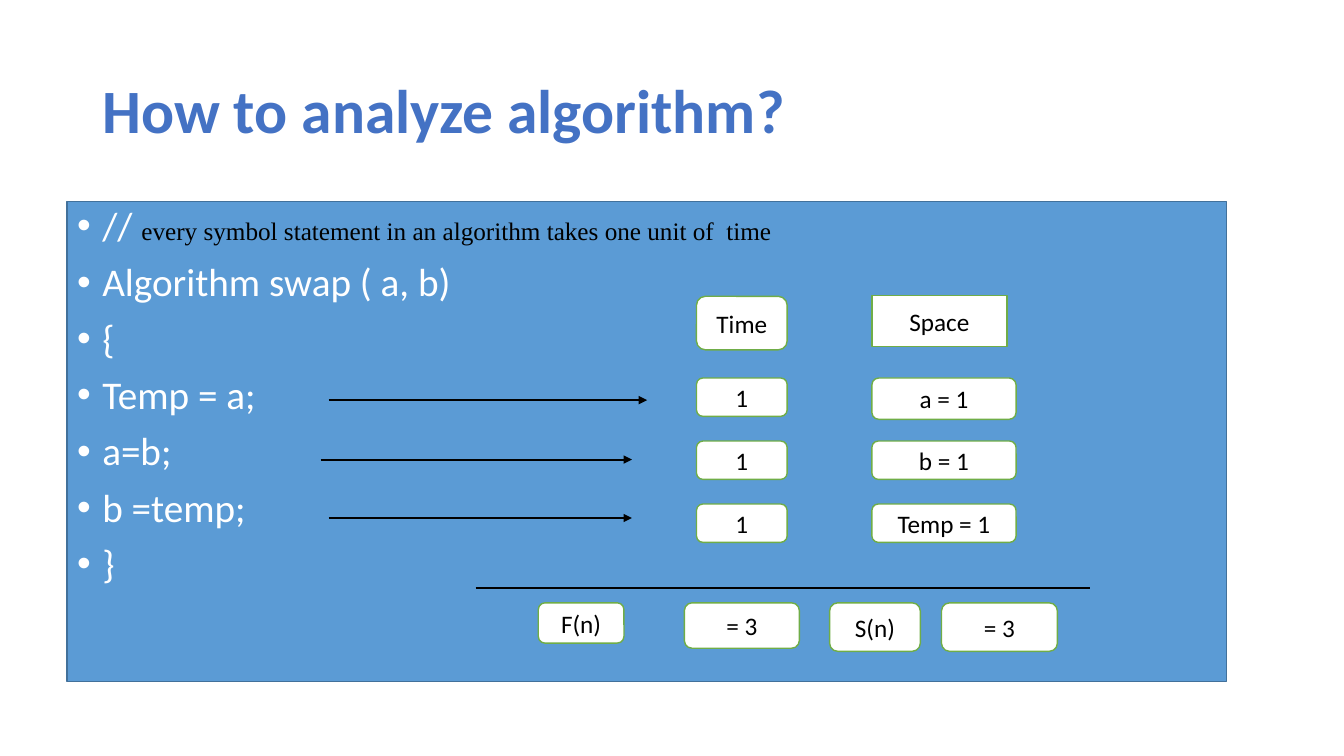
from lxml.etree import SubElement
from pptx import Presentation
from pptx.dml.color import RGBColor
from pptx.enum.shapes import MSO_CONNECTOR, MSO_SHAPE
from pptx.enum.text import MSO_ANCHOR, PP_ALIGN
from pptx.oxml.ns import qn
from pptx.util import Pt

COLORS = {"title": "4472C4", "panel": "5B9BD5", "panel_line": "42719B",
          "box_line": "70AD47", "white": "FFFFFF", "black": "000000"}
RGB = {name: RGBColor.from_string(value) for name, value in COLORS.items()}
ROUND, RECT = MSO_SHAPE.ROUNDED_RECTANGLE, MSO_SHAPE.RECTANGLE


def add_panel(kind, box, fill, line):
    sp = s.shapes.add_shape(kind, *map(Pt, box))
    sp.shadow.inherit = False
    sp.fill.solid()
    sp.fill.fore_color.rgb = RGB[fill]
    sp.line.color.rgb = RGB[line]
    sp.line.width = Pt(1)
    sp.text_frame.word_wrap = True
    return sp


def add_run(p, text, color, size, name="Calibri", bold=False):
    r = p.add_run()
    r.text = text
    for key, value in {"size": Pt(size), "name": name, "bold": bold}.items():
        setattr(r.font, key, value)
    r.font.color.rgb = RGB[color]


prs = Presentation()
prs.slide_width, prs.slide_height = Pt(960), Pt(540)
s = prs.slides.add_slide(prs.slide_layouts[6])

# Title
tf = s.shapes.add_textbox(Pt(66), Pt(28.8), Pt(828), Pt(104.4)).text_frame
tf.word_wrap = True
tf.vertical_anchor = MSO_ANCHOR.MIDDLE
tf.paragraphs[0].line_spacing = 0.9
add_run(tf.paragraphs[0], "How to analyze algorithm?", "title", 44, bold=True)

# Algorithm listing
tf = add_panel(RECT, (48, 144, 828, 342.7), "panel", "panel_line").text_frame
tf.vertical_anchor = MSO_ANCHOR.TOP
code = ["// ", "Algorithm swap ( a, b)", "{", "Temp = a;", "a=b;", "b =temp;", "}"]
for i, text in enumerate(code):
    p = tf.add_paragraph() if i else tf.paragraphs[0]
    formats = {"alignment": PP_ALIGN.LEFT, "line_spacing": 0.9,
               "space_before": Pt(10 if i else 0)}
    for key, value in formats.items():
        setattr(p, key, value)
    pPr = p._p.get_or_add_pPr()
    pPr.set("marL", str(Pt(18)))
    pPr.set("indent", str(-Pt(18)))
    SubElement(pPr, qn("a:buFont"), typeface="Arial")
    SubElement(pPr, qn("a:buChar"), char="•")
    add_run(p, text, "white", 28)
add_run(tf.paragraphs[0], "every symbol statement in an algorithm takes one unit of  time",
        "black", 18, "Times New Roman")

# Arrows from statements to their times, then the sum line
lines = [(234.7, 462.2, 285.8, True), (229, 451.4, 328.3, True),
         (234.7, 451.4, 370, True), (339.8, 778.3, 419.8, False)]
for x1, x2, y, arrow in lines:
    line = s.shapes.add_connector(MSO_CONNECTOR.STRAIGHT, Pt(x1), Pt(y), Pt(x2), Pt(y))
    line.line.color.rgb = RGB["black"]
    line.line.width = Pt(1.5)
    if arrow:
        SubElement(line.line._get_or_add_ln(), qn("a:tailEnd"), type="triangle")
    SubElement(line._element.spPr, qn("a:effectLst"))

# Time and space columns, with the totals below
time_x, space_x, row_y, row_step, total_y = 497.5, 622.8, 270, 45, 430.6
boxes = [("Time", ROUND, time_x, 211.7, 64.8, 38.2),
         ("Space", RECT, space_x, 211, 96.5, 36.7)]
for i, (space, height) in enumerate([("a = 1", 29.5), ("b = 1", 27.4), ("Temp = 1", 27.4)]):
    y = row_y + i * row_step
    boxes += [("1", ROUND, time_x, y, 64.8, 27.4),
              (space, ROUND, space_x, y, 103, height)]
boxes += [("F(n)", ROUND, 384.5, total_y, 61.2, 28.8),
          ("= 3", ROUND, 488.9, total_y, 82.1, 32.4),
          ("S(n)", ROUND, 592.6, total_y, 64.8, 34.6),
          ("= 3", ROUND, 672.5, total_y, 82.8, 34.6)]
for text, kind, *box in boxes:
    tf = add_panel(kind, box, "white", "box_line").text_frame
    tf.vertical_anchor = MSO_ANCHOR.MIDDLE
    tf.paragraphs[0].alignment = PP_ALIGN.CENTER
    add_run(tf.paragraphs[0], text, "black", 18)

prs.save("out.pptx")
